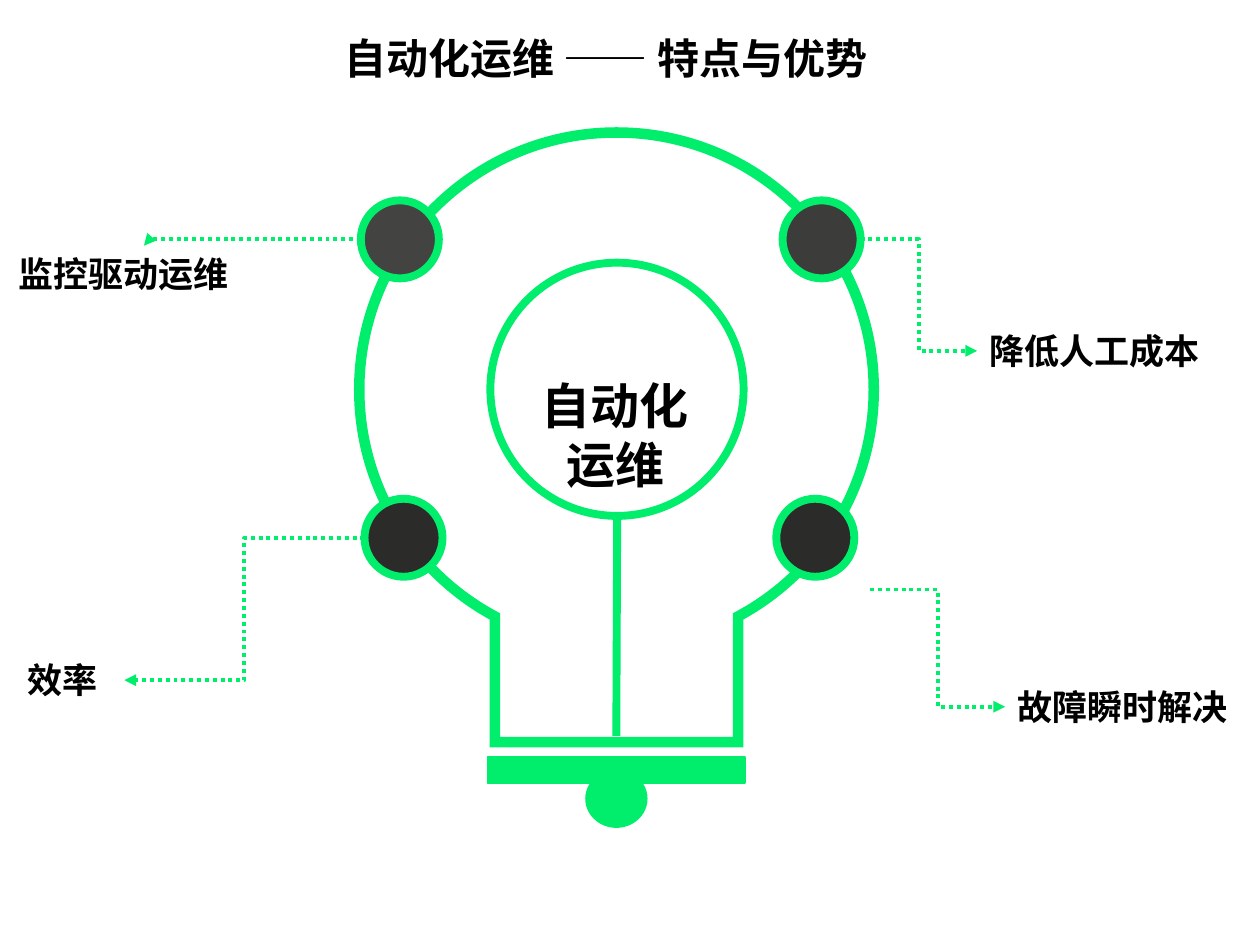
import math
from typing import NamedTuple, Optional

from lxml import etree
from pptx import Presentation
from pptx.dml.color import RGBColor
from pptx.enum.dml import MSO_LINE
from pptx.enum.shapes import MSO_CONNECTOR, MSO_SHAPE
from pptx.enum.text import MSO_ANCHOR, MSO_AUTO_SIZE, PP_ALIGN
from pptx.oxml.ns import qn
from pptx.util import Pt

ELBOW, STRAIGHT = MSO_CONNECTOR.ELBOW, MSO_CONNECTOR.STRAIGHT
OVAL, RECT = MSO_SHAPE.OVAL, MSO_SHAPE.RECTANGLE
LEFT, CENTER = PP_ALIGN.LEFT, PP_ALIGN.CENTER
DOTTED = MSO_LINE.ROUND_DOT

GREEN = RGBColor(0x00, 0xEE, 0x6C)
BLACK = RGBColor(0x00, 0x00, 0x00)
DARK = RGBColor(0x2B, 0x2C, 0x29)
GREY = RGBColor(0x3C, 0x3D, 0x3A)
LIGHT_GREY = RGBColor(0x43, 0x44, 0x41)
FONT = "Noto Sans CJK SC"

# Bulb geometry
CX, CY, RADIUS = 352.3, 222.7, 147
NECK, BASE_Y = 69.5, 424
NODE = 44.6


class Node(NamedTuple):
    x: float
    y: float
    fill: RGBColor


class Label(NamedTuple):
    text: str
    x: float
    y: float
    w: float


class Leader(NamedTuple):
    x1: float
    y1: float
    x2: float
    y2: float
    preset: str = "bentConnector3"


NODES = [
    Node(208.3, 285, DARK),
    Node(443.6, 285, DARK),
    Node(206.2, 114.5, LIGHT_GREY),
    Node(447.2, 114.5, GREY),
]
LABELS = [
    Label("效率", 8.6, 373, 62.6),
    Label("监控驱动运维", 3.6, 140.8, 157.7),
    Label("故障瞬时解决", 574.4, 388, 157.7),
    Label("降低人工成本", 558.4, 185, 157.7),
]
LEADERS = [
    Leader(208.3, 307.4, 71.1, 388.7),
    Leader(206.2, 136.8, 82.3, 140.4, "bentConnector2"),
    Leader(491.8, 136.8, 558.4, 200.5),
    Leader(497.3, 336.9, 574.4, 403.9),
]


def write(shape, text: str, size: float, align=LEFT) -> None:
    tf = shape.text_frame
    tf.word_wrap = True
    tf.auto_size = MSO_AUTO_SIZE.NONE
    tf.vertical_anchor = MSO_ANCHOR.TOP
    p = tf.paragraphs[0]
    p.text = text
    p.alignment = align
    font = p.font
    font.size, font.bold, font.name = Pt(size), True, FONT
    font.color.rgb = BLACK
    etree.SubElement(font._element, qn("a:ea")).set("typeface", FONT)


def add_text(s, text: str, x: float, y: float, w: float, h: float,
             size: float, align=LEFT) -> None:
    write(s.shapes.add_textbox(Pt(x), Pt(y), Pt(w), Pt(h)), text, size, align)


def paint(shape, fill: Optional[RGBColor], weight: float) -> None:
    shape.shadow.inherit = False
    if fill is None:
        shape.fill.background()
    else:
        shape.fill.solid()
        shape.fill.fore_color.rgb = fill
    shape.line.color.rgb = GREEN
    shape.line.width = Pt(weight)


def add_shape(s, kind, x: float, y: float, w: float, h: float,
              fill: Optional[RGBColor], weight: float) -> None:
    paint(s.shapes.add_shape(kind, Pt(x), Pt(y), Pt(w), Pt(h)), fill, weight)


def on_bulb(angle: float, ahead: float = 0) -> tuple[int, int]:
    """Point at a clockwise angle from the top, moved along the tangent."""
    sin, cos = math.sin(angle), math.cos(angle)
    return (Pt(CX + RADIUS * (sin + ahead * cos)),
            Pt(CY - RADIUS * (cos - ahead * sin)))


def bend(line_to, start: float, end: float, left: int, top: int) -> None:
    """Turn a straight segment of the bulb into a circular curve."""
    reach = 4 / 3 * math.tan((end - start) / 4)
    line_to.tag = qn("a:cubicBezTo")
    for i, (x, y) in enumerate((on_bulb(start, reach), on_bulb(end, -reach))):
        pt = etree.Element(qn("a:pt"), x=str(x - left), y=str(y - top))
        line_to.insert(i, pt)


def add_bulb(s) -> None:
    half = math.asin(NECK / RADIUS)
    quarter, turn = math.pi / 2, 2 * math.pi
    right, left = math.pi - half, math.pi + half
    points = [
        on_bulb(quarter), on_bulb(right),
        (Pt(CX + NECK), Pt(BASE_Y)), (Pt(CX - NECK), Pt(BASE_Y)),
        on_bulb(left), on_bulb(3 * quarter), on_bulb(0),
    ]
    builder = s.shapes.build_freeform(*on_bulb(0), scale=1.0)
    builder.add_line_segments(points, close=True)
    bulb = builder.convert_to_shape()
    segments = list(bulb._element.iter(qn("a:lnTo")))
    arcs = {0: (0, quarter), 1: (quarter, right),
            5: (left, 3 * quarter), 6: (3 * quarter, turn)}
    for i, (start, end) in arcs.items():
        bend(segments[i], start, end, bulb.left, bulb.top)
    paint(bulb, None, 6)
    etree.SubElement(bulb.line._get_or_add_ln(), qn("a:miter")).set("lim", "800000")


def add_line(s, kind, x1: float, y1: float, x2: float, y2: float, weight: float):
    cxn = s.shapes.add_connector(kind, Pt(x1), Pt(y1), Pt(x2), Pt(y2))
    cxn.line.color.rgb = GREEN
    cxn.line.width = Pt(weight)
    etree.SubElement(cxn._element.spPr, qn("a:effectLst"))
    return cxn


def add_leader(s, leader: Leader) -> None:
    cxn = add_line(s, ELBOW, *leader[:4], 2.25)
    cxn.line.dash_style = DOTTED
    cxn._element.spPr.find(qn("a:prstGeom")).set("prst", leader.preset)
    ln = cxn.line._get_or_add_ln()
    etree.SubElement(ln, qn("a:tailEnd")).set("type", "triangle")


def main() -> None:
    prs = Presentation()
    prs.slide_width, prs.slide_height = Pt(720), Pt(540)
    s = prs.slides.add_slide(prs.slide_layouts[5])

    # Title
    title = s.shapes.title
    title.left, title.top, title.width, title.height = Pt(189.4), Pt(15), Pt(329), Pt(36)
    write(title, "自动化运维 —— 特点与优势", 24)

    # Bulb with its cap
    add_bulb(s)
    add_shape(s, RECT, 278.6, 432.5, 147, 15, GREEN, 1)
    add_shape(s, OVAL, 334.9, 440.2, 34.6, 32.4, GREEN, 1)

    # Core circle and stem
    add_shape(s, OVAL, 280.2, 150.1, 144.7, 144.7, None, 4.5)
    add_line(s, STRAIGHT, 352.7, 295, 352.2, 420.5, 4.5)
    add_text(s, "自动化运维", 301.2, 211, 100.8, 75, 28, CENTER)

    # Nodes, labels and leaders
    for node in NODES:
        add_shape(s, OVAL, node.x, node.y, NODE, NODE, node.fill, 4.5)
    for label in LABELS:
        add_text(s, label.text, label.x, label.y, label.w, 31.5, 20)
    for leader in LEADERS:
        add_leader(s, leader)

    prs.save("out.pptx")


if __name__ == "__main__":
    main()
